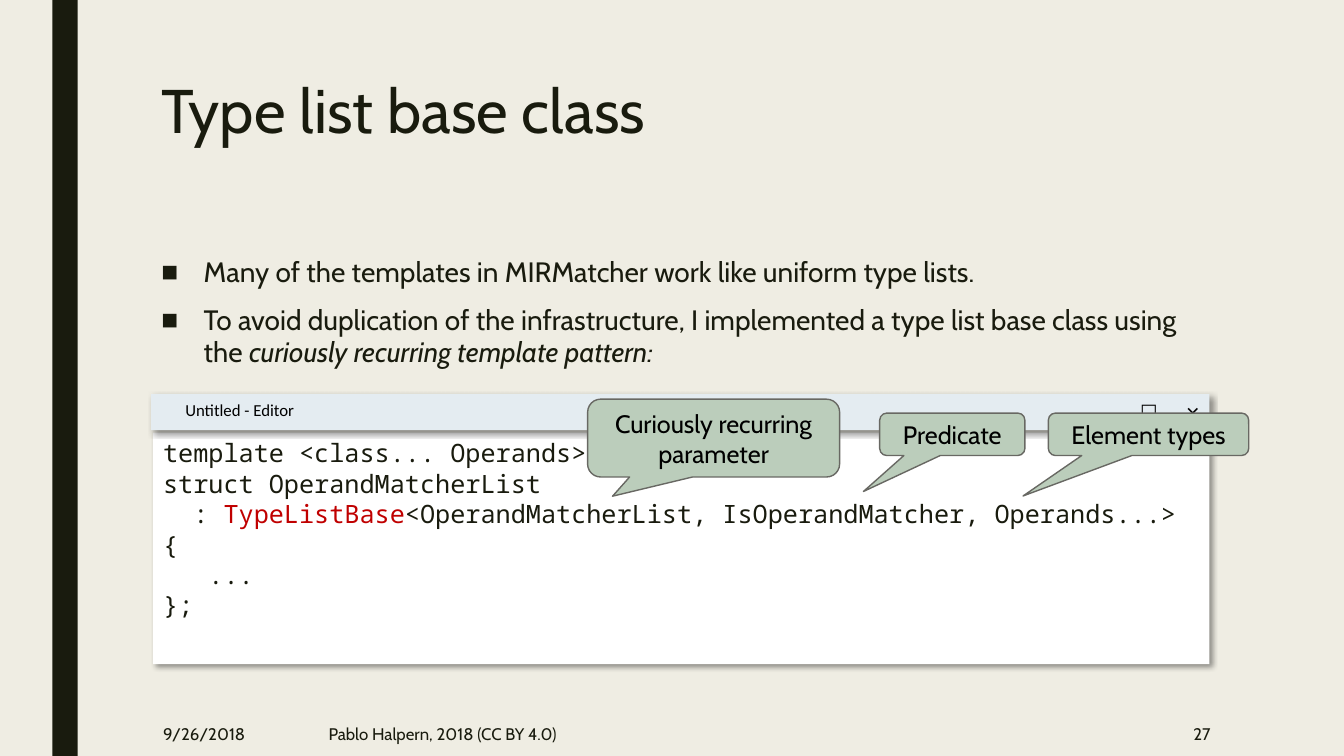
from lxml import etree
from pptx import Presentation
from pptx.dml.color import RGBColor
from pptx.enum.shapes import MSO_SHAPE as SHAPE
from pptx.enum.text import MSO_ANCHOR as ANCHOR, MSO_AUTO_SIZE as AUTO, PP_ALIGN as ALIGN
from pptx.oxml import parse_xml
from pptx.oxml.ns import nsdecls, qn
from pptx.util import Cm, Pt

PAPER = RGBColor(0xEF, 0xED, 0xE3)
INK = RGBColor(0x19, 0x1B, 0x0E)
BLACK = RGBColor(0, 0, 0)
WHITE = RGBColor(0xFF, 0xFF, 0xFF)
RED = RGBColor(0xC0, 0, 0)
BAR = RGBColor(0xE4, 0xEC, 0xF1)
SAGE = RGBColor(0xBB, 0xCD, 0xBB)
GREY = RGBColor(0x68, 0x68, 0x63)
SANS, UI, MONO = "Cabin", "Calibri", "Noto Sans Mono"

# Content: a paragraph is a list of (text, run format)
TITLE = [[("Type list base class", {})]]
BULLETS = [
    [("Many of the templates in MIRMatcher work like uniform type lists.", {})],
    [("To avoid duplication of the infrastructure, I implemented a type list "
      "base class using the ", {}),
     ("curiously recurring template pattern:", {"italic": True})],
]
CODE = [
    [("template <class... Operands>", {})],
    [("struct OperandMatcherList", {})],
    [("  : ", {}), ("TypeListBase", {"color": RED}),
     ("<OperandMatcherList, IsOperandMatcher, Operands...> {", {})],
    [("   ...", {})],
    [("};", {})],
]
WINDOW_TITLE = "Untitled - Editor"
WINDOW_BUTTONS = [("‒", 18), ("☐", 14), ("×", 18)]
# text, left, top, width, height (cm), pointer x and y
CALLOUTS = [
    ("Curiously recurring parameter", 14.81, 10.06, 6.35, 1.96, -0.401, 0.747),
    ("Predicate", 22.17, 10.41, 3.66, 1.07, -0.612, 1.346),
    ("Element types", 26.42, 10.41, 5.05, 1.07, -0.626, 1.452),
]
# text, left, width (cm), alignment
FOOTERS = [
    ("9/26/2018", 3.86, 3.35, ALIGN.LEFT),
    ("Pablo Halpern, 2018 (CC BY 4.0)", 8.03, 17.45, ALIGN.LEFT),
    ("27", 26.31, 4.45, ALIGN.RIGHT),
]


def write(tf, text, size=18, font=SANS, color=INK, align=ALIGN.LEFT,
          anchor=ANCHOR.TOP, spacing=None, before=0, after=0, bullet=None):
    """Fill a text frame with a string or a list of paragraphs."""
    tf.word_wrap = True
    tf.auto_size = AUTO.NONE
    tf.vertical_anchor = anchor
    paragraphs = [[(text, {})]] if isinstance(text, str) else text
    for i, runs in enumerate(paragraphs):
        p = tf.add_paragraph() if i else tf.paragraphs[0]
        p.alignment = align
        p.line_spacing = spacing
        p.space_before = Pt(before if i else 0)
        p.space_after = Pt(after)
        if bullet:
            pPr = p._p.get_or_add_pPr()
            pPr.set("marL", str(Cm(1.07)))
            pPr.set("indent", str(Cm(-1.07)))
            etree.SubElement(pPr, qn("a:buChar")).set("char", bullet)
        for run_text, style in runs:
            r = p.add_run()
            r.text = run_text
            r.font.size = Pt(size)
            r.font.name = font
            r.font.color.rgb = style.get("color", color)
            r.font.italic = style.get("italic")


def place(sp, left, top, width, height):
    sp.left, sp.top, sp.width, sp.height = Cm(left), Cm(top), Cm(width), Cm(height)


def add_block(kind, left, top, width, height, fill, line=None):
    sp = slide.shapes.add_shape(kind, Cm(left), Cm(top), Cm(width), Cm(height))
    sp.shadow.inherit = False
    sp.fill.solid()
    sp.fill.fore_color.rgb = fill
    if line is None:
        sp.line.fill.background()
    else:
        sp.line.color.rgb = line
        sp.line.width = Pt(1)
    return sp


def add_label(text, left, top, width, height, **style):
    sp = slide.shapes.add_textbox(Cm(left), Cm(top), Cm(width), Cm(height))
    write(sp.text_frame, text, **style)
    return sp


def drop_shadow(sp):
    effects = sp._element.spPr.find(qn("a:effectLst"))
    effects.append(parse_xml(
        f'<a:outerShdw {nsdecls("a")} blurRad="{Pt(4)}" dist="{Pt(3)}" '
        f'dir="{45 * 60000}" algn="tl" rotWithShape="0">'
        '<a:srgbClr val="000000"><a:alpha val="40000"/></a:srgbClr></a:outerShdw>'))


prs = Presentation()
prs.slide_width, prs.slide_height = Cm(33.87), Cm(19.05)
slide = prs.slides.add_slide(prs.slide_layouts[1])
slide.background.fill.solid()
slide.background.fill.fore_color.rgb = PAPER

# Side stripe
add_block(SHAPE.RECTANGLE, 1.32, 0, 0.64, 19.05, INK)

# Title and bullets
title, body = slide.placeholders
place(title, 3.81, 1.91, 26.67, 4.11)
write(title.text_frame, TITLE, size=44, spacing=0.89)
place(body, 3.81, 6.35, 26.67, 9.96)
write(body.text_frame, BULLETS, size=20, spacing=0.94, before=10, after=2, bullet="■")

# Footer
for text, left, width, align in FOOTERS:
    add_label(text, left, 17.93, width, 1.12, size=12, align=align, anchor=ANCHOR.MIDDLE)

# Editor window
code = add_block(SHAPE.RECTANGLE, 3.86, 10.9, 26.62, 5.84, WHITE)
drop_shadow(code)
write(code.text_frame, CODE, font=MONO, spacing=Pt(21.7))
bar = add_block(SHAPE.RECTANGLE, 3.81, 9.93, 26.67, 0.91, BAR)
drop_shadow(bar)
add_label(WINDOW_TITLE, 4.42, 9.96, 3.6, 0.76, size=12, font=UI, color=BLACK)

# Window buttons at an equal pitch
BUTTON_LEFT, BUTTON_PITCH = 27.29, 1.11
for i, (symbol, size) in enumerate(WINDOW_BUTTONS):
    button = add_label(symbol, BUTTON_LEFT + i * BUTTON_PITCH, 9.91, BUTTON_PITCH, 0.91,
                       size=size, font=UI, color=BLACK, align=ALIGN.CENTER,
                       anchor=ANCHOR.MIDDLE)
    tf = button.text_frame
    tf.margin_left = tf.margin_right = tf.margin_top = tf.margin_bottom = 0

# Callouts
for text, left, top, width, height, tip_x, tip_y in CALLOUTS:
    sp = add_block(SHAPE.ROUNDED_RECTANGULAR_CALLOUT, left, top, width, height, SAGE, GREY)
    sp.adjustments[0], sp.adjustments[1] = tip_x, tip_y
    write(sp.text_frame, text, color=BLACK, align=ALIGN.CENTER, anchor=ANCHOR.MIDDLE)

prs.save("out.pptx")
